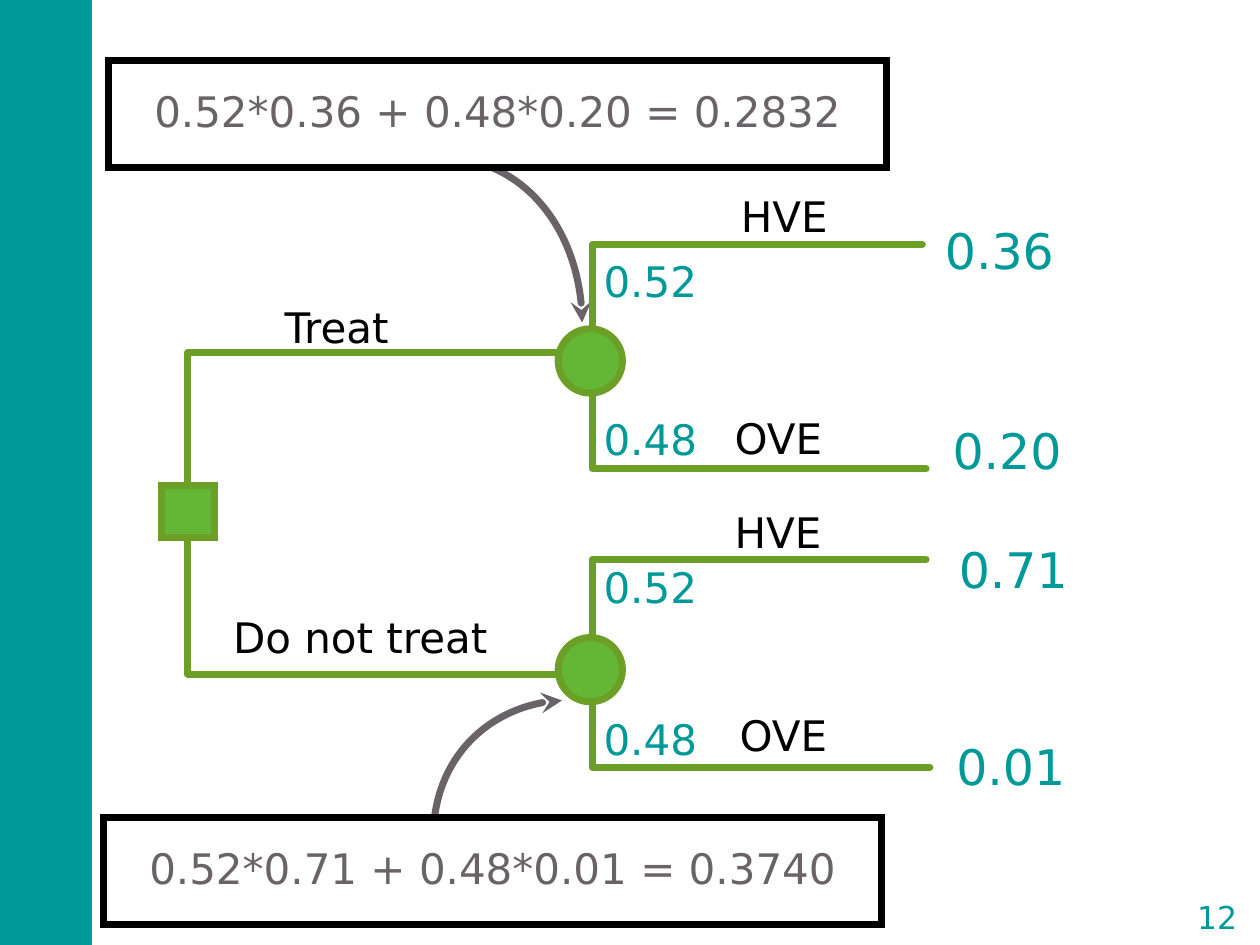
"""Decision tree slide: treat or do not treat, with the expected value of each choice."""
from dataclasses import dataclass

from lxml import etree
from pptx import Presentation, util as u
from pptx.dml.color import RGBColor
from pptx.enum import shapes, text

COLS, ROWS = 100, 75
CELL = u.Inches(0.1)
FONT = "DejaVu Sans"
TEAL, GREEN, LEAF, GREY, BLACK, WHITE = (
    "009999", "6B9F25", "64B636", "696367", "000000", "FFFFFF")


@dataclass(frozen=True)
class Branch:
    """An elbow line that runs up or down from a node and then right."""
    x: float
    start: float
    y: float
    end: float


@dataclass(frozen=True)
class Node:
    """A decision or chance node of the tree."""
    kind: shapes.MSO_SHAPE
    x: float
    y: float
    size: float


@dataclass(frozen=True)
class Label:
    """A caption with its box."""
    words: str
    x: float
    y: float
    w: float


@dataclass(frozen=True)
class Result:
    """A framed calculation and the curve that leads from it to a node."""
    words: str
    x: float
    y: float
    curve: tuple


BRANCHES = [
    Branch(14.9, 40, 28, 45.6), Branch(14.9, 42.8, 53.5, 45.4),
    Branch(47, 27.9, 19.4, 73.2), Branch(47, 28.1, 37.2, 73.5),
    Branch(47, 53.4, 44.4, 73.5), Branch(47, 52.9, 60.9, 73.8),
]
NODES = [
    Node(shapes.MSO_SHAPE.RECTANGLE, 12.8, 38.5, 4.2),
    Node(shapes.MSO_SHAPE.OVAL, 44.3, 26.1, 5.1),
    Node(shapes.MSO_SHAPE.OVAL, 44.3, 50.6, 5.1),
]
NAMES = [
    Label("Treat", 21.8, 23.5, 10.2), Label("Do not treat", 17.7, 48.1, 22.4),
    Label("HVE", 58, 14.7, 8.6), Label("OVE", 57.5, 32.3, 8.7),
    Label("HVE", 57.5, 39.8, 8.6), Label("OVE", 57.9, 55.9, 8.7),
]
CHANCES = [Label(words, 47, y, 10.5) for words, y in
           [("0.52", 19.8), ("0.48", 32.3), ("0.52", 44.1), ("0.48", 56.1)]]
OUTCOMES = [
    Label("0.36", 74.1, 17, 10.7), Label("0.20", 74.7, 32.9, 10.7),
    Label("0.71", 75.2, 42.3, 10.7), Label("0.01", 75, 58, 10.7),
]
RESULTS = [
    Result("0.52*0.36 + 0.48*0.20 = 0.2832", 8.6, 4.8,
           ((35, 12.5), (41.2, 12.5), (46.2, 18.4), (46.2, 25.6))),
    Result("0.52*0.71 + 0.48*0.01 = 0.3740", 8.2, 64.9,
           ((34.4, 67.2), (34.1, 61), (38.7, 55.8), (44.6, 55.6))),
]


def rgb(value: str) -> RGBColor:
    """Turn a hex string into a colour."""
    return RGBColor.from_string(value)


def grid(*lengths: float) -> list:
    """Turn grid cells into slide lengths."""
    return [u.Emu(round(n * CELL)) for n in lengths]


def add_tag(parent, tag: str, **attrs):
    """Append a drawing element to a parent."""
    ns = parent.nsmap["a"]
    return etree.SubElement(parent, f"{{{ns}}}{tag}", attrs)


def draw_shape(sl, kind, box: tuple, fill: str | None, line: str | None, width: float = 4):
    """Draw a preset shape with square corners."""
    sp = sl.shapes.add_shape(kind, *grid(*box))
    sp.shadow.inherit = False
    if fill:
        sp.fill.solid()
        sp.fill.fore_color.rgb = rgb(fill)
    else:
        sp.fill.background()
    if line:
        sp.line.color.rgb = rgb(line)
        sp.line.width = u.Pt(width)
        add_tag(sp.line._get_or_add_ln(), "miter", lim="800000")
    else:
        sp.line.fill.background()
    return sp


def draw_path(sl, points: tuple, color: str):
    """Draw an open line with round ends through grid points."""
    pts = [tuple(grid(*pt)) for pt in points]
    builder = sl.shapes.build_freeform(*pts[0])
    builder.add_line_segments(pts[1:], close=False)
    sp = builder.convert_to_shape()
    sp.shadow.inherit = False
    sp.fill.background()
    sp.line.color.rgb = rgb(color)
    sp.line.width = u.Pt(4)
    ln = sp.line._get_or_add_ln()
    ln.set("cap", "rnd")
    add_tag(ln, "round")
    return sp


def draw_curve(sl, points: tuple, color: str) -> None:
    """Draw a cubic curve that ends in an arrowhead."""
    sp = draw_path(sl, points, color)
    add_tag(sp.line._get_or_add_ln(), "tailEnd", type="stealth")
    steps = sp._element.xpath(".//a:lnTo")
    bezier = add_tag(steps[0].getparent(), "cubicBezTo")
    for step in steps:
        bezier.append(step[0])
        step.getparent().remove(step)


def write(sp, words: str, *, size: float, color: str, center: bool = False,
          wrap: bool = False, inset: tuple = (0.09, 0.05), middle: bool = False,
          grow: bool = True) -> None:
    """Write one formatted paragraph into a shape."""
    tf = sp.text_frame
    tf.word_wrap = wrap
    tf.auto_size = (text.MSO_AUTO_SIZE.SHAPE_TO_FIT_TEXT if grow
                    else text.MSO_AUTO_SIZE.NONE)
    tf.vertical_anchor = text.MSO_ANCHOR.MIDDLE if middle else text.MSO_ANCHOR.TOP
    tf.margin_left = tf.margin_right = u.Inches(inset[0])
    tf.margin_top = tf.margin_bottom = u.Inches(inset[1])
    p = tf.paragraphs[0]
    p.alignment = text.PP_ALIGN.CENTER if center else text.PP_ALIGN.LEFT
    r = p.add_run()
    r.text = words
    r.font.name, r.font.size = FONT, u.Pt(size)
    r.font.color.rgb = rgb(color)


def draw_labels(sl, labels: list, height: float, **style) -> None:
    """Draw a group of captions in one style."""
    for lb in labels:
        sp = sl.shapes.add_textbox(*grid(lb.x, lb.y, lb.w, height))
        write(sp, lb.words, **style)


def draw_result(sl, result: Result) -> None:
    """Draw the curve and the framed calculation of a result."""
    draw_curve(sl, result.curve, GREY)
    draw_shape(sl, shapes.MSO_SHAPE.RECTANGLE, (result.x, result.y, 61.8, 8.5), WHITE, BLACK)
    draw_labels(sl, [Label(result.words, result.x, result.y + 1.5, 61.8)], 5.1,
                size=24, color=GREY, center=True, wrap=True, inset=(0.1, 0.05))


def main() -> None:
    """Build the slide and save it."""
    prs = Presentation()
    prs.slide_width, prs.slide_height = grid(COLS, ROWS)
    sl = prs.slides.add_slide(prs.slide_layouts[6])
    draw_shape(sl, shapes.MSO_SHAPE.RECTANGLE, (0, 0, 7.3, ROWS), TEAL, None)
    for result in RESULTS:
        draw_result(sl, result)
    for b in BRANCHES:
        draw_path(sl, ((b.x, b.start), (b.x, b.y), (b.end, b.y)), GREEN)
    for n in NODES:
        draw_shape(sl, n.kind, (n.x, n.y, n.size, n.size), LEAF, GREEN)
    draw_labels(sl, NAMES, 4.8, size=24, color=BLACK, inset=(0.08, 0.04))
    draw_labels(sl, CHANCES, 5, size=24, color=TEAL, wrap=True)
    draw_labels(sl, OUTCOMES, 5.6, size=28, color=TEAL)
    number = draw_shape(sl, shapes.MSO_SHAPE.DOUBLE_BRACKET, (93.6, 70.6, 6, 4.3), None, WHITE, 1.5)
    write(number, "12", size=18, color=TEAL, center=True, wrap=True,
          inset=(0, 0), middle=True, grow=False)
    prs.save("out.pptx")


if __name__ == "__main__":
    main()
